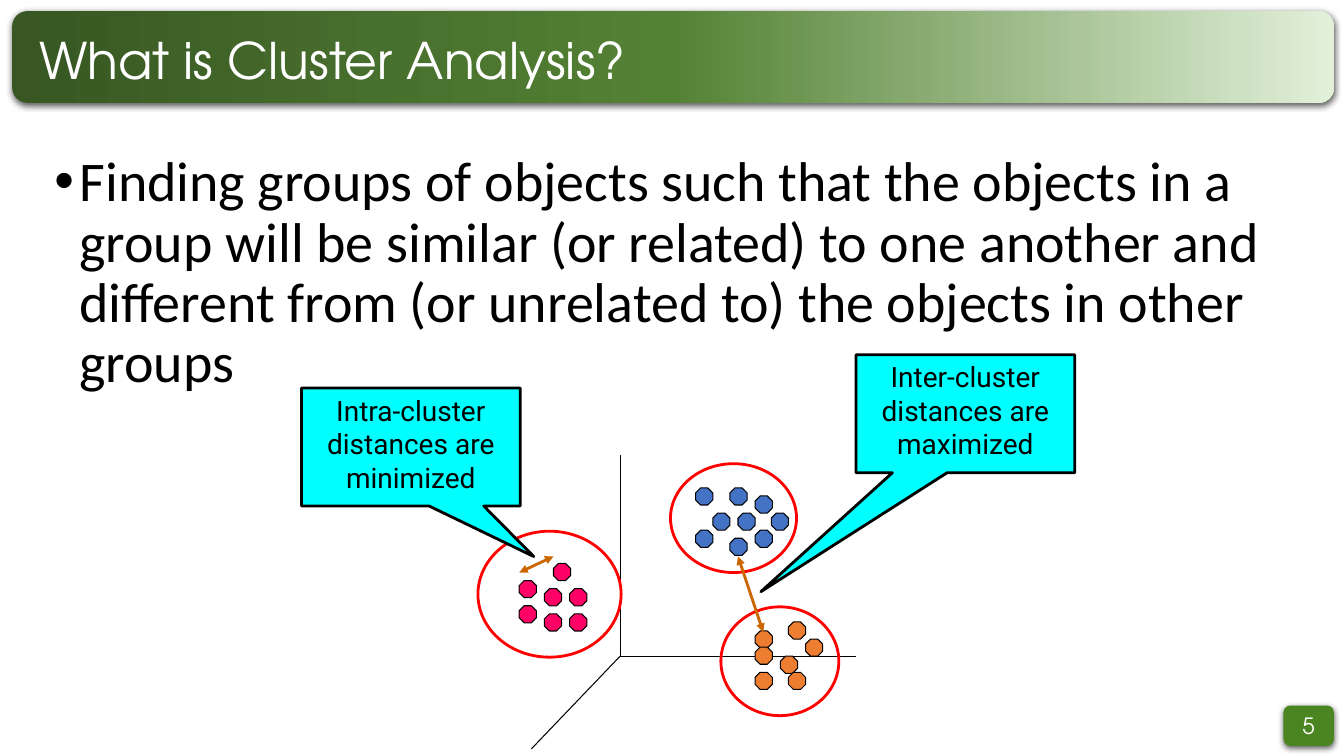
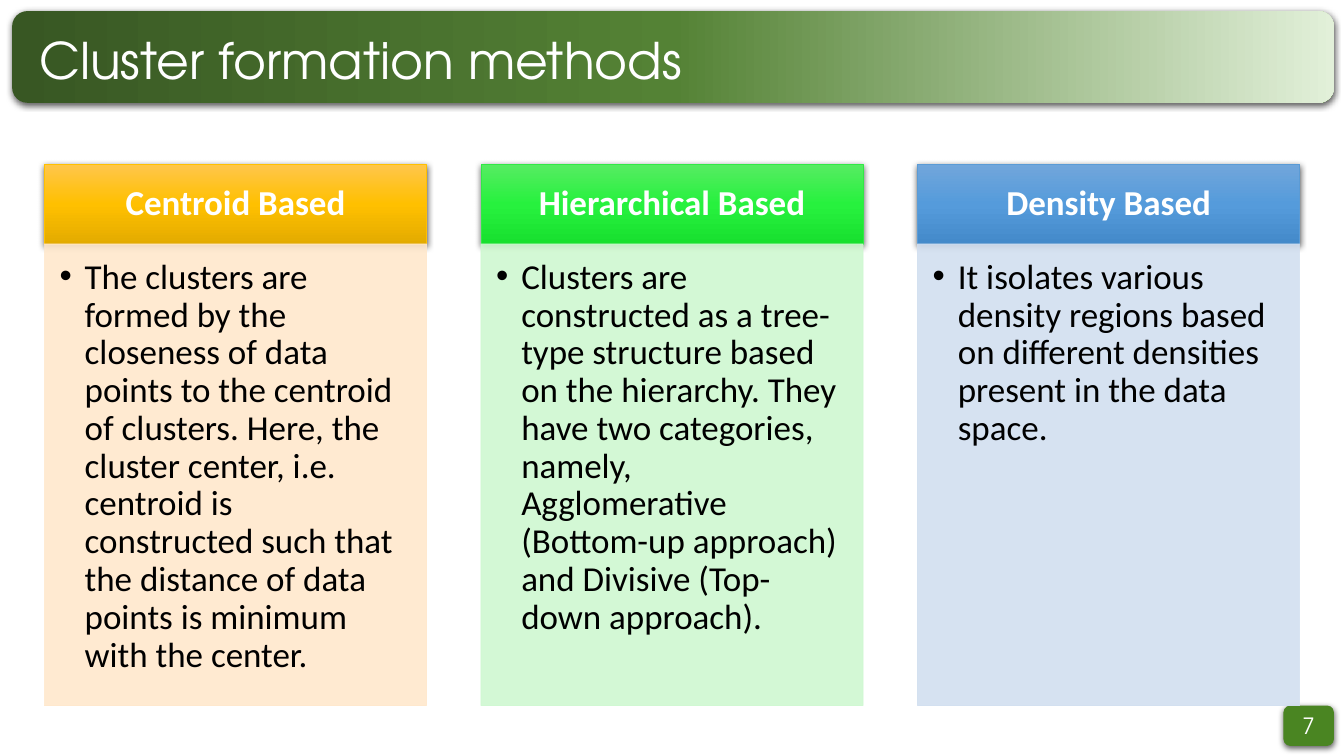
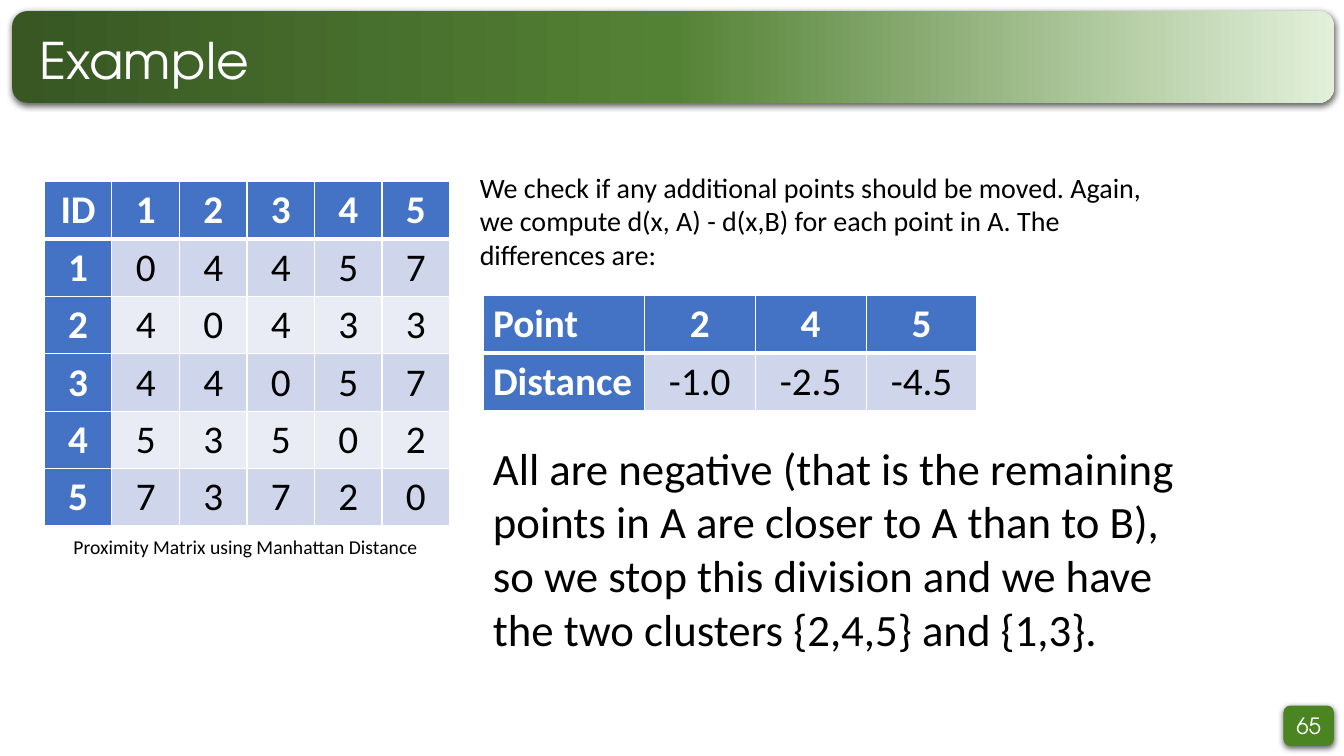
from dataclasses import dataclass
from typing import NamedTuple

from lxml.etree import SubElement
from pptx import Presentation
from pptx.dml.color import RGBColor
from pptx.enum.shapes import MSO_CONNECTOR, MSO_SHAPE
from pptx.enum.text import MSO_ANCHOR, PP_ALIGN
from pptx.oxml.ns import qn
from pptx.util import Inches, Pt

WHITE = RGBColor(0xFF, 0xFF, 0xFF)
BLACK = RGBColor(0x00, 0x00, 0x00)
BADGE_GREEN = RGBColor(0x4A, 0x85, 0x22)
BAND_COLORS = (RGBColor(0x38, 0x57, 0x23), RGBColor(0x54, 0x82, 0x35), RGBColor(0xE2, 0xF0, 0xD9))
BLUE = RGBColor(0x44, 0x72, 0xC4)
PINK = RGBColor(0xFF, 0x00, 0x66)
ORANGE = RGBColor(0xED, 0x7D, 0x31)
RED = RGBColor(0xFF, 0x00, 0x00)
BROWN = RGBColor(0xCC, 0x66, 0x00)
CYAN = RGBColor(0x00, 0xFF, 0xFF)
ROW_TINTS = (RGBColor(0xE9, 0xEB, 0xF5), RGBColor(0xCF, 0xD5, 0xEA))

BODY_FONT = "Calibri"
TITLE_FONT = "TeX Gyre Adventor"
CALLOUT_FONT = "Roboto"
DEFAULT_INSETS = (0.1, 0.05, 0.1, 0.05)
DOT_SIZE = 0.17
ROW_HEIGHT = 0.57


class Box(NamedTuple):
    left: float
    top: float
    width: float
    height: float

    def lengths(self):
        return [Inches(value) for value in self]


class Point(NamedTuple):
    x: float
    y: float


@dataclass
class Cluster:
    color: RGBColor
    outline: Box
    dots: list[Point]


@dataclass
class Callout:
    text: str
    box: Box
    tip: Point
    arrow_start: Point
    arrow_end: Point


@dataclass
class Method:
    name: str
    description: str
    gradient: tuple[RGBColor, RGBColor, RGBColor]
    border: RGBColor
    tint: RGBColor


CLUSTERS = [
    Cluster(BLUE, Box(6.65, 4.6, 1.25, 1.08), [
        Point(7.07, 5.09), Point(7.32, 5.09), Point(7.24, 4.84), Point(7.24, 5.34), Point(7.65, 5.09),
        Point(7.49, 4.92), Point(6.9, 4.84), Point(7.49, 5.26), Point(6.9, 5.26)]),
    Cluster(PINK, Box(4.74, 5.27, 1.42, 1.25), [
        Point(5.15, 5.76), Point(5.4, 5.84), Point(5.4, 6.09), Point(5.65, 5.84),
        Point(5.49, 5.59), Point(5.65, 6.09), Point(5.15, 6.01)]),
    Cluster(ORANGE, Box(7.15, 6.02, 1.17, 1.08), [
        Point(7.49, 6.26), Point(7.99, 6.34), Point(7.74, 6.51), Point(7.49, 6.67),
        Point(7.82, 6.67), Point(7.49, 6.42), Point(7.82, 6.17)]),
]

CALLOUTS = [
    Callout("Inter-cluster distances are maximized", Box(8.49, 3.52, 2.17, 1.17),
            Point(-0.935, 1.509), Point(7.57, 6.27), Point(7.32, 5.52)),
    Callout("Intra-cluster distances are minimized", Box(2.99, 3.85, 2.17, 1.17),
            Point(0.562, 0.929), Point(5.15, 5.68), Point(5.49, 5.52)),
]

METHODS = [
    Method("Centroid Based",
           "The clusters are formed by the closeness of data points to the centroid of clusters. "
           "Here, the cluster center, i.e. centroid is constructed such that the distance of data "
           "points is minimum with the center.",
           (RGBColor(0xFF, 0xC6, 0x4B), RGBColor(0xFF, 0xC0, 0x00), RGBColor(0xE3, 0xAB, 0x00)),
           RGBColor(0xFF, 0xC0, 0x00), RGBColor(0xFF, 0xE8, 0xCC)),
    Method("Hierarchical Based",
           "Clusters are constructed as a tree-type structure based on the hierarchy. They have two "
           "categories, namely, Agglomerative (Bottom-up approach) and Divisive (Top-down approach).",
           (RGBColor(0x56, 0xEC, 0x62), RGBColor(0x27, 0xF1, 0x3E), RGBColor(0x18, 0xE0, 0x2F)),
           RGBColor(0x30, 0xE8, 0x45), RGBColor(0xCF, 0xF8, 0xD1)),
    Method("Density Based",
           "It isolates various density regions based on different densities present in the data space.",
           (RGBColor(0x71, 0xA6, 0xDB), RGBColor(0x55, 0x9B, 0xDB), RGBColor(0x44, 0x8A, 0xCA)),
           RGBColor(0x5B, 0x9B, 0xD5), RGBColor(0xD2, 0xDF, 0xF0)),
]

PROXIMITY_ROWS = [
    ["ID", "1", "2", "3", "4", "5"],
    ["1", "0", "4", "4", "5", "7"],
    ["2", "4", "0", "4", "3", "3"],
    ["3", "4", "4", "0", "5", "7"],
    ["4", "5", "3", "5", "0", "2"],
    ["5", "7", "3", "7", "2", "0"],
]
DISTANCE_ROWS = [["Point", "2", "4", "5"], ["Distance", "-1.0", "-2.5", "-4.5"]]


def write_text(frame, text: str, *, size: float, font: str = BODY_FONT, color: RGBColor = BLACK,
               bold: bool = False, align=PP_ALIGN.LEFT, anchor=MSO_ANCHOR.TOP,
               insets=DEFAULT_INSETS, line_spacing: float = 1.0, bullet: bool = False) -> None:
    frame.word_wrap = True
    frame.vertical_anchor = anchor
    frame.margin_left, frame.margin_top, frame.margin_right, frame.margin_bottom = map(Inches, insets)
    write_paragraph(frame.paragraphs[0], text, size=size, font=font, color=color, bold=bold,
                    align=align, line_spacing=line_spacing, bullet=bullet)


def write_paragraph(paragraph, text: str, *, size: float, font: str = BODY_FONT,
                    color: RGBColor = BLACK, bold: bool = False, align=PP_ALIGN.LEFT,
                    line_spacing: float = 1.0, bullet: bool = False) -> None:
    if bullet:
        properties = paragraph._p.get_or_add_pPr()
        properties.set("marL", str(Inches(0.25)))
        properties.set("indent", str(Inches(-0.25)))
        SubElement(properties, qn("a:buFont"), typeface="Arial")
        SubElement(properties, qn("a:buChar"), char="•")
    paragraph.alignment = align
    paragraph.line_spacing = line_spacing
    run = paragraph.add_run()
    run.text = text
    run.font.size = Pt(size)
    run.font.name = font
    run.font.bold = bold
    run.font.color.rgb = color


def add_text(slide, box: Box, text: str, **text_format) -> None:
    write_text(slide.shapes.add_textbox(*box.lengths()).text_frame, text, **text_format)


def add_box(slide, kind, box: Box, *, fill: RGBColor | None = None, line: RGBColor | None = None,
            line_width: float = 0.75):
    shape = slide.shapes.add_shape(kind, *box.lengths())
    shape.shadow.inherit = False
    if fill is None:
        shape.fill.background()
    else:
        shape.fill.solid()
        shape.fill.fore_color.rgb = fill
    if line is None:
        shape.line.fill.background()
    else:
        shape.line.color.rgb = line
        shape.line.width = Pt(line_width)
    return shape


def add_soft_shadow(shape) -> None:
    effects = shape._element.spPr.find(qn("a:effectLst"))
    shadow = SubElement(effects, qn("a:outerShdw"), blurRad=str(Pt(4.5)), dist=str(Pt(1.5)),
                        dir="5400000", algn="ctr", rotWithShape="0")
    color = SubElement(shadow, qn("a:srgbClr"), val=str(BLACK))
    SubElement(color, qn("a:alpha"), val="63000")


def fill_gradient(shape, colors, angle: float) -> None:
    shape.fill.gradient()
    shape.fill.gradient_angle = angle
    stops = shape._element.spPr.find(".//" + qn("a:gsLst"))
    for stop in list(stops):
        stops.remove(stop)
    for index, color in enumerate(colors):
        stop = SubElement(stops, qn("a:gs"), pos=str(index * 50000))
        SubElement(stop, qn("a:srgbClr"), val=str(color))


def set_opacity(shape, percent: int) -> None:
    for color in shape._element.spPr.iter(qn("a:srgbClr")):
        SubElement(color, qn("a:alpha"), val=str(percent * 1000))


def add_line(slide, start: Point, end: Point, *, color: RGBColor = BLACK, width: float = 0.75,
             arrows: bool = False) -> None:
    connector = slide.shapes.add_connector(
        MSO_CONNECTOR.STRAIGHT, *(Inches(value) for value in (*start, *end)))
    connector.line.color.rgb = color
    connector.line.width = Pt(width)
    if arrows:
        outline = connector.line._get_or_add_ln()
        for end_name in ("a:headEnd", "a:tailEnd"):
            SubElement(outline, qn(end_name), type="triangle")
    SubElement(connector._element.spPr, qn("a:effectLst"))


def set_cell_borders(cell, top: float, bottom: float) -> None:
    properties = cell._tc.get_or_add_tcPr()
    for side, width in (("L", 1), ("R", 1), ("T", top), ("B", bottom)):
        border = SubElement(properties, qn(f"a:ln{side}"), w=str(Pt(width)))
        border_fill = SubElement(border, qn("a:solidFill"))
        SubElement(border_fill, qn("a:srgbClr"), val=str(WHITE))


def add_matrix(slide, left: float, top: float, rows: list[list[str]], widths: list[float],
               label_align=PP_ALIGN.CENTER) -> None:
    box = Box(left, top, sum(widths), ROW_HEIGHT * len(rows))
    table = slide.shapes.add_table(len(rows), len(widths), *box.lengths()).table
    for column, width in zip(table.columns, widths):
        column.width = Inches(width)
    for row_index, row in enumerate(rows):
        for column_index, text in enumerate(row):
            cell = table.cell(row_index, column_index)
            is_label = row_index == 0 or column_index == 0
            set_cell_borders(cell, 3 if row_index == 1 else 1, 3 if row_index == 0 else 1)
            cell.fill.solid()
            cell.fill.fore_color.rgb = BLUE if is_label else ROW_TINTS[row_index % 2]
            write_paragraph(cell.text_frame.paragraphs[0], text, size=28, bold=is_label,
                            color=WHITE if is_label else BLACK,
                            align=PP_ALIGN.CENTER if column_index else label_align)


def add_titled_slide(presentation, title: str, number: int):
    slide = presentation.slides.add_slide(presentation.slide_layouts[6])
    badge = add_box(slide, MSO_SHAPE.ROUNDED_RECTANGLE, Box(12.73, 7, 0.5, 0.4), fill=BADGE_GREEN)
    add_soft_shadow(badge)
    write_text(badge.text_frame, str(number), size=16, font=TITLE_FONT, color=WHITE,
               align=PP_ALIGN.CENTER, anchor=MSO_ANCHOR.MIDDLE)
    band = add_box(slide, MSO_SHAPE.ROUNDED_RECTANGLE, Box(0.12, 0.11, 13.11, 0.91))
    fill_gradient(band, BAND_COLORS, 0)
    add_soft_shadow(band)
    add_text(slide, Box(0.29, 0.3, 12.76, 0.65), title, size=36, font=TITLE_FONT, color=WHITE,
             anchor=MSO_ANCHOR.MIDDLE, line_spacing=0.9)
    return slide


def build_definition_slide(presentation) -> None:
    slide = add_titled_slide(presentation, "What is Cluster Analysis?", 5)
    add_text(slide, Box(0.44, 1.47, 12.45, 5.29),
             "Finding groups of objects such that the objects in a group will be similar (or related) "
             "to one another and different from (or unrelated to) the objects in other groups",
             size=40, line_spacing=0.9, bullet=True)
    origin = Point(6.15, 6.51)
    for axis_end in (Point(6.15, 4.51), Point(8.49, 6.51), Point(5.27, 7.43)):
        add_line(slide, origin, axis_end)
    for cluster in CLUSTERS:
        for dot in cluster.dots:
            add_box(slide, MSO_SHAPE.OCTAGON, Box(*dot, DOT_SIZE, DOT_SIZE),
                    fill=cluster.color, line=BLACK)
    for cluster in CLUSTERS:
        add_box(slide, MSO_SHAPE.OVAL, cluster.outline, line=RED, line_width=2)
    for callout in CALLOUTS:
        add_line(slide, callout.arrow_start, callout.arrow_end, color=BROWN, width=2, arrows=True)
        shape = add_box(slide, MSO_SHAPE.RECTANGULAR_CALLOUT, callout.box,
                        fill=CYAN, line=BLACK, line_width=2)
        shape.adjustments[0], shape.adjustments[1] = callout.tip
        write_text(shape.text_frame, callout.text, size=20, font=CALLOUT_FONT, align=PP_ALIGN.CENTER)


def build_methods_slide(presentation) -> None:
    slide = add_titled_slide(presentation, "Cluster formation methods", 7)
    for index, method in enumerate(METHODS):
        left = 0.44 + index * 4.33
        header = add_box(slide, MSO_SHAPE.RECTANGLE, Box(left, 1.63, 3.79, 0.79),
                         line=method.border, line_width=0.5)
        fill_gradient(header, method.gradient, 270)
        add_soft_shadow(header)
        write_text(header.text_frame, method.name, size=25, color=WHITE, bold=True,
                   align=PP_ALIGN.CENTER, anchor=MSO_ANCHOR.MIDDLE,
                   insets=(0.19, 0.11, 0.19, 0.11), line_spacing=0.9)
        panel = add_box(slide, MSO_SHAPE.RECTANGLE, Box(left, 2.42, 3.79, 4.58),
                        fill=method.tint, line=method.tint, line_width=0.5)
        set_opacity(panel, 90)
        write_text(panel.text_frame, method.description, size=25,
                   insets=(0.15, 0.15, 0.19, 0.22), line_spacing=0.9, bullet=True)


def build_example_slide(presentation) -> None:
    slide = add_titled_slide(presentation, "Example", 65)
    add_matrix(slide, 0.44, 1.8, PROXIMITY_ROWS, [0.67] * 6)
    add_text(slide, Box(0.44, 5.26, 3.99, 0.34), "Proximity Matrix using Manhattan Distance",
             size=14, align=PP_ALIGN.CENTER)
    add_text(slide, Box(4.66, 1.64, 7.02, 1.11),
             "We check if any additional points should be moved. Again, we compute "
             "d(x, A) - d(x,B) for each point in A. The differences are:", size=20)
    add_matrix(slide, 4.79, 2.93, DISTANCE_ROWS, [1.6, 1.1, 1.1, 1.1], label_align=PP_ALIGN.LEFT)
    add_text(slide, Box(4.79, 4.32, 7.02, 2.26),
             "All are negative (that is the remaining points in A are closer to A than to B), "
             "so we stop this division and we have the two clusters {2,4,5} and {1,3}.", size=32)


def main() -> None:
    presentation = Presentation()
    presentation.slide_width = Inches(13.33)
    presentation.slide_height = Inches(7.5)
    build_definition_slide(presentation)
    build_methods_slide(presentation)
    build_example_slide(presentation)
    presentation.save("out.pptx")


if __name__ == "__main__":
    main()
